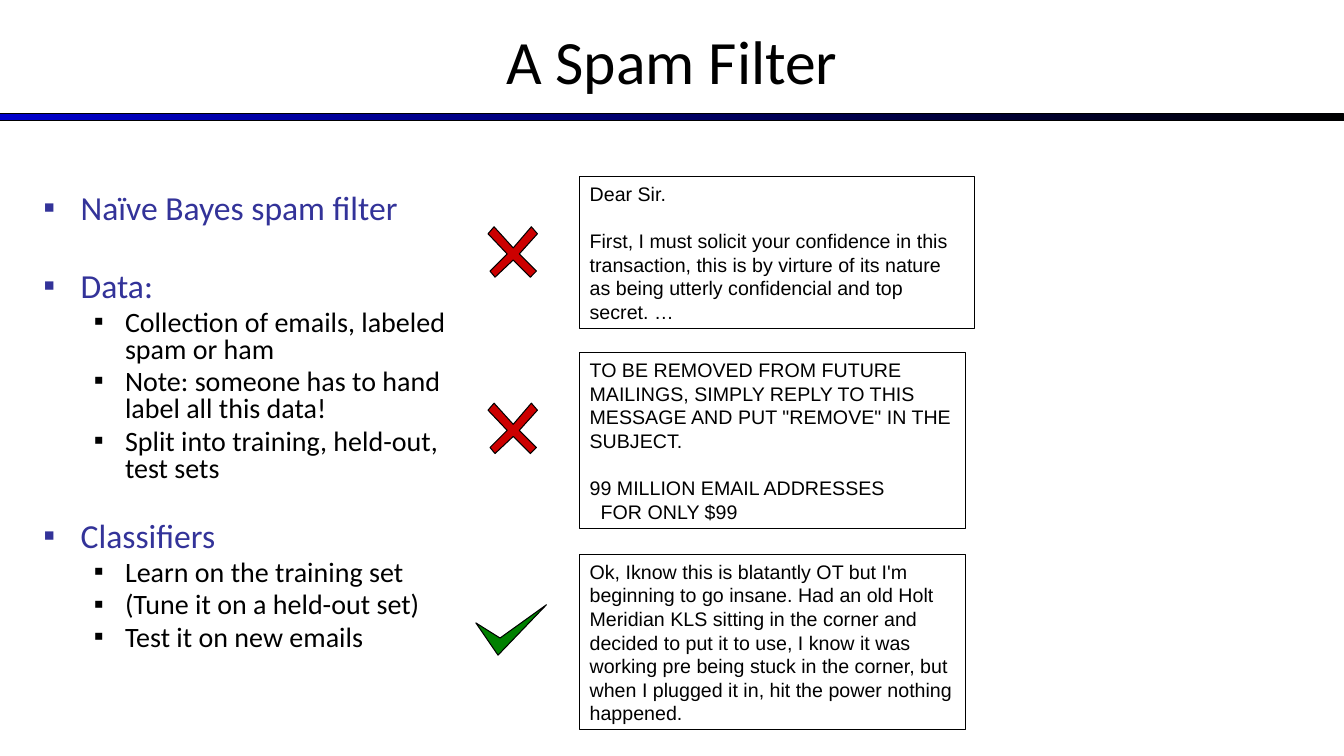
from lxml import etree
from pptx import Presentation, util as u
from pptx.dml.color import RGBColor
from pptx.enum import shapes, text
from pptx.oxml.ns import qn

TITLE = "A Spam Filter"

# Heading, its points, and the space in points above the heading
TOPICS = [
    ("Naïve Bayes spam filter", [], 0),
    ("Data:", [
        "Collection of emails, labeled spam or ham",
        "Note: someone has to hand label all this data!",
        "Split into training, held-out, test sets",
    ], 33),
    ("Classifiers", [
        "Learn on the training set",
        "(Tune it on a held-out set)",
        "Test it on new emails",
    ], 28.3),
]

# Each paragraph: text, space before in points, left indent in inches
EMAILS = [
    {"top": 1.75, "width": 3.92, "height": 1.51, "mark": "cross", "lines": [
        ("Dear Sir.", 0, 0),
        ("First, I must solicit your confidence in this transaction, this is by "
         "virture of its nature as being utterly confidencial and top secret. …", 16.9, 0),
    ]},
    {"top": 3.5, "width": 3.83, "height": 1.74, "mark": "cross", "lines": [
        ("TO BE REMOVED FROM FUTURE MAILINGS, SIMPLY REPLY TO THIS MESSAGE "
         "AND PUT \"REMOVE\" IN THE SUBJECT.", 0, 0),
        ("99 MILLION EMAIL ADDRESSES", 16.9, 0),
        ("FOR ONLY $99", 0, 0.11),
    ]},
    {"top": 5.5, "width": 3.83, "height": 1.74, "mark": "check", "lines": [
        ("Ok, Iknow this is blatantly OT but I'm beginning to go insane. Had an old "
         "Holt Meridian KLS sitting in the corner and decided to put it to use, I know "
         "it was working pre being stuck in the corner, but when I plugged it in, hit "
         "the power nothing happened.", 0, 0),
    ]},
]

THEME = {
    "heading": "333399", "ink": "000000", "bar": "0000CC",
    "cross": "CC0000", "check": "008000",
    "title_size": 44, "heading_size": 24, "point_size": 20, "email_size": 14,
    "font": "Calibri", "email_font": "Arial", "line": 0.75,
}

# Outlines in inches, measured from the mark's left edge and top
MARKS = {
    "cross": (4.84, [(0, .07), (.19, .27), (.02, .44), (.07, .5), (.25, .33), (.42, .5),
                     (.48, .44), (.31, .27), (.49, .07), (.43, 0), (.25, .21), (.06, 0)]),
    "check": (4.72, [(.22, .5), (.7, 0), (.24, .33), (0, .18)]),
}
EMAIL_LEFT = 5.75
MARK_DROP = 0.5


def color(name):
    return RGBColor.from_string(THEME[name])


def add_text(frame, content, *, size, ink="ink", font="font", align=text.PP_ALIGN.LEFT,
             before=0, spacing=None, left=0, hanging=0, bullet=None, level=0):
    """Write one paragraph, reusing the frame's empty first one."""
    first = frame.paragraphs[0]
    paragraph = first if not first.runs else frame.add_paragraph()
    paragraph.level = level
    properties = paragraph._p.get_or_add_pPr()
    properties.set("marL", str(u.Inches(left)))
    properties.set("indent", str(-u.Inches(hanging)))
    if bullet:
        bullet_color = etree.SubElement(properties, qn("a:buClr"))
        etree.SubElement(bullet_color, qn("a:srgbClr"), val=THEME[ink])
        etree.SubElement(properties, qn("a:buFont"), typeface="Arial")
        etree.SubElement(properties, qn("a:buChar"), char=bullet)
    paragraph.alignment = align
    paragraph.space_before = u.Pt(before)
    if spacing:
        paragraph.line_spacing = spacing
    run = paragraph.add_run()
    run.text = content
    run.font.size = u.Pt(THEME[size])
    run.font.name = THEME[font]
    run.font.color.rgb = color(ink)


def place(shape, left, top, width, height):
    shape.left, shape.top = u.Inches(left), u.Inches(top)
    shape.width, shape.height = u.Inches(width), u.Inches(height)


def outline(shape):
    shape.shadow.inherit = False
    shape.line.color.rgb = color("ink")
    shape.line.width = u.Pt(THEME["line"])


def add_bar(slide):
    bar = slide.shapes.add_shape(shapes.MSO_SHAPE.RECTANGLE, 0, u.Inches(1.13),
                                 u.Inches(13.33), u.Inches(0.07))
    bar.fill.gradient()
    bar.fill.gradient_angle = 0
    for stop, name, position in zip(bar.fill.gradient_stops, ("bar", "ink"), (0, 1)):
        stop.color.rgb = color(name)
        stop.position = position
    outline(bar)


def add_topics(body):
    place(body, 0.33, 1.88, 4.25, 4.95)
    frame = body.text_frame
    frame.auto_size = text.MSO_AUTO_SIZE.NONE
    for heading, points, gap in TOPICS:
        add_text(frame, heading, size="heading_size", ink="heading", before=gap,
                 spacing=0.8, left=0.37, hanging=0.37, bullet="▪")
        for point in points:
            add_text(frame, point, size="point_size", before=4, spacing=0.8,
                     left=0.81, hanging=0.31, bullet="▪", level=1)


def add_email(slide, email):
    box = slide.shapes.add_shape(shapes.MSO_SHAPE.RECTANGLE, u.Inches(EMAIL_LEFT),
                                 u.Inches(email["top"]), u.Inches(email["width"]),
                                 u.Inches(email["height"]))
    box.fill.background()
    outline(box)
    frame = box.text_frame
    frame.word_wrap = True
    frame.vertical_anchor = text.MSO_ANCHOR.TOP
    for content, gap, indent in email["lines"]:
        add_text(frame, content, size="email_size", font="email_font", before=gap,
                 spacing=u.Pt(16.9), left=indent)


def add_mark(slide, email):
    left, points = MARKS[email["mark"]]
    top = email["top"] + MARK_DROP
    corners = [(u.Inches(left + x), u.Inches(top + y)) for x, y in points]
    builder = slide.shapes.build_freeform(*corners[0])
    builder.add_line_segments(corners[1:], close=True)
    mark = builder.convert_to_shape()
    mark.fill.solid()
    mark.fill.fore_color.rgb = color(email["mark"])
    outline(mark)


def main():
    presentation = Presentation()
    presentation.slide_width, presentation.slide_height = u.Inches(13.33), u.Inches(7.5)
    slide = presentation.slides.add_slide(presentation.slide_layouts[1])

    # Title and the bar below it
    title = slide.shapes.title
    place(title, 0, -0.03, 13.33, 1.25)
    title.text_frame.vertical_anchor = text.MSO_ANCHOR.MIDDLE
    add_text(title.text_frame, TITLE, size="title_size", align=text.PP_ALIGN.CENTER)
    add_bar(slide)

    # Topics on the left
    add_topics(slide.placeholders[1])

    # Sample emails, each with its verdict
    for email in EMAILS:
        add_email(slide, email)
        add_mark(slide, email)

    presentation.save("out.pptx")


if __name__ == "__main__":
    main()
